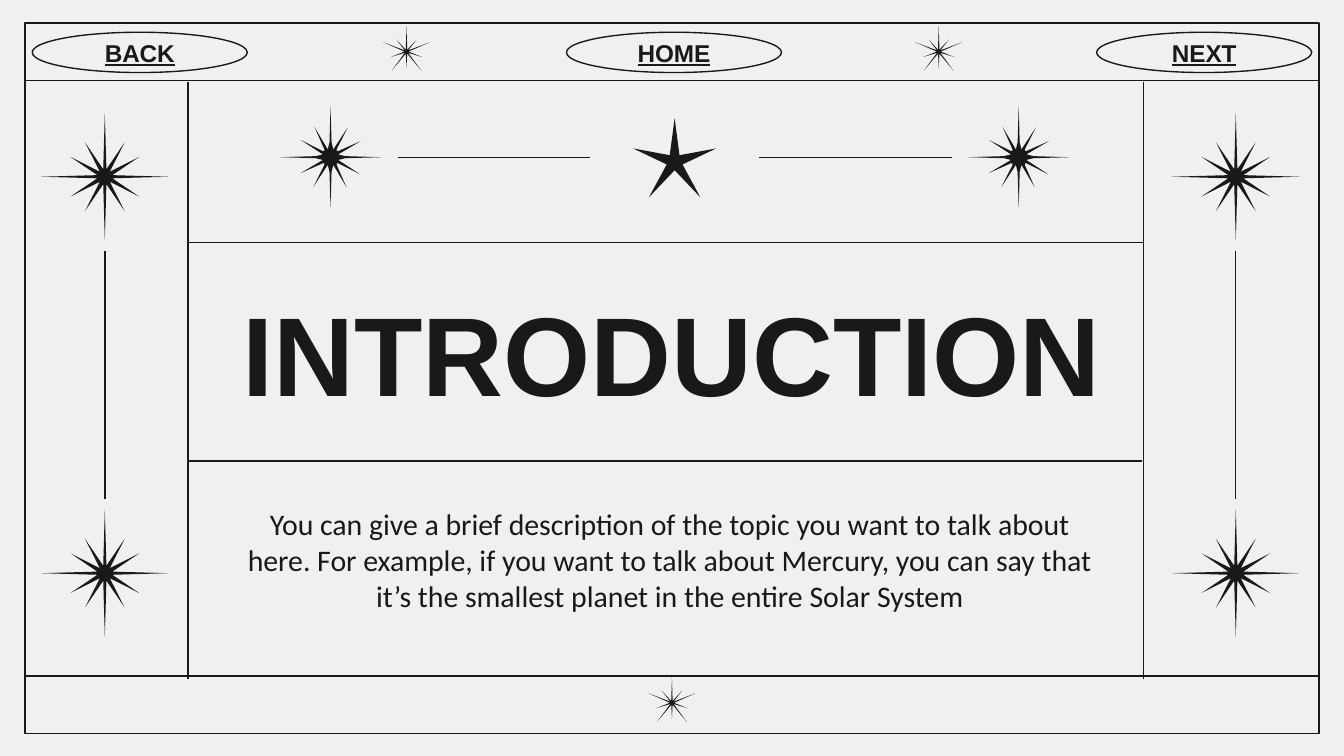
import math
from dataclasses import dataclass

import pptx
import pptx.dml.color
import pptx.enum.shapes
import pptx.enum.text
import pptx.oxml
import pptx.util

ANCHOR = pptx.enum.text.MSO_ANCHOR
SHAPE = pptx.enum.shapes.MSO_SHAPE
COLS, ROWS = 100, 56.25


@dataclass(frozen=True)
class Theme:
    """Colours, fonts and type sizes."""
    ink: str = "191919"
    paper: str = "F0F0F0"
    head_font: str = "Arial"
    body_font: str = "Calibri"
    title: int = 60
    body: int = 16
    label: int = 13
    rule: float = 0.75


@dataclass(frozen=True)
class Box:
    """A region measured in grid columns and rows."""
    x: float
    y: float
    w: float
    h: float


THEME = Theme()
HALF_SPARKLE = [(0, 1), (20, 0.08), (40, 0.62), (54, 0.08), (68, 0.99), (88, 0.08),
                (109, 0.64), (125, 0.08), (142, 0.94), (161, 0.08), (180, 0.63)]
SPARKLE = HALF_SPARKLE + [(360 - b, d) for b, d in HALF_SPARKLE[-2:0:-1]]


def repeat(pattern, count):
    """Turn a pattern of (bearing, radius) points round the full circle."""
    return [(b + i * 360 / count, d) for i in range(count) for b, d in pattern]


BURST = repeat([(0, 1), (12, 0.12), (30, 0.62), (45, 0.11), (60, 0.62), (78, 0.12)], 4)
COMPASS = repeat([(0, 1), (4, 0.29), (20, 0.16), (30, 0.67), (38, 0.2), (45, 0.17),
                  (52, 0.2), (62, 0.67), (70, 0.16), (86, 0.29)], 4)
FIVE_POINT = repeat([(0, 1), (36, 0.19)], 5)


def rgb(value):
    """Return a colour from its hex value."""
    return pptx.dml.color.RGBColor.from_string(value)


def grid(*units):
    """Convert grid units to slide lengths."""
    return [pptx.util.Inches(u * 10 / COLS) for u in units]


def rule(s, x1, y1, x2, y2):
    """Draw a thin straight line."""
    line = s.shapes.add_connector(pptx.enum.shapes.MSO_CONNECTOR.STRAIGHT, *grid(x1, y1, x2, y2))
    line.line.color.rgb = rgb(THEME.ink)
    line.line.width = pptx.util.Pt(THEME.rule)
    line._element.spPr.append(pptx.oxml.parse_xml(
        '<a:effectLst xmlns:a="http://schemas.openxmlformats.org/drawingml/2006/main"/>'))


def outline(s, kind, x, y, w, h):
    """Add an unfilled shape with a thin outline."""
    sp = s.shapes.add_shape(kind, *grid(x, y, w, h))
    sp.shadow.inherit = False
    sp.fill.background()
    sp.line.color.rgb = rgb(THEME.ink)
    sp.line.width = pptx.util.Pt(THEME.rule)
    return sp


def star(s, vertices, cx, cy, radius):
    """Draw a solid star from polar vertices about its centre."""
    points = [grid(cx + radius * d * math.sin(math.radians(b)),
                   cy - radius * d * math.cos(math.radians(b))) for b, d in vertices]
    builder = s.shapes.build_freeform(*points[0])
    builder.add_line_segments(points[1:], close=True)
    sp = builder.convert_to_shape()
    sp.shadow.inherit = False
    sp.fill.solid()
    sp.fill.fore_color.rgb = rgb(THEME.ink)
    sp.line.fill.background()


def write(sp, text, font, size, bold=False, underline=False, anchor=ANCHOR.MIDDLE):
    """Fill a shape with one centred paragraph."""
    tf = sp.text_frame
    tf.word_wrap = True
    tf.vertical_anchor = anchor
    tf.margin_left = tf.margin_right = tf.margin_top = tf.margin_bottom = pptx.util.Inches(0.1)
    p = tf.paragraphs[0]
    p.alignment = pptx.enum.text.PP_ALIGN.CENTER
    r = p.add_run()
    r.text = text
    r.font.name = font
    r.font.size = pptx.util.Pt(size)
    r.font.bold = bold
    r.font.underline = underline
    r.font.color.rgb = rgb(THEME.ink)


def text_box(s, box, text, **style):
    """Place formatted text in a box."""
    write(s.shapes.add_textbox(*grid(box.x, box.y, box.w, box.h)), text, **style)


def frame(s, box):
    """Draw the outer frame with its header and footer rules."""
    outline(s, SHAPE.RECTANGLE, box.x, box.y, box.w, box.h)
    for y in (box.y + 4.3, box.y + box.h - 4.3):
        rule(s, box.x, y, box.x + box.w, y)
    star(s, SPARKLE, box.x + box.w / 2, box.y + box.h - 2.3, 1.9)


def panel(s, box):
    """Draw the side rules and dividers of the central panel."""
    right = box.x + box.w
    for x in (box.x, right):
        rule(s, x, box.y, x, box.y + box.h)
    rule(s, box.x, box.y + 11.95, right, box.y + 11.95)
    rule(s, box.x - 0.1, box.y + 28.2, right - 0.1, box.y + 28.2)


def rail(s, box):
    """Draw two bursts joined by a vertical rule."""
    cx, radius, gap = box.x + box.w / 2, box.w / 2, 0.75
    bottom = box.y + box.h
    for cy in (box.y + radius, bottom - radius):
        star(s, BURST, cx, cy, radius)
    rule(s, cx, box.y + box.w + gap, cx, bottom - box.w - gap)


def navigation(s, box):
    """Place the navigation buttons and the sparkles between them."""
    for dx, label in ((0, "BACK"), (39.75, "HOME"), (79.2, "NEXT")):
        sp = outline(s, SHAPE.OVAL, box.x + dx, box.y, 16, box.h)
        write(sp, label, font=THEME.head_font, size=THEME.label, bold=True, underline=True)
    for dx in (27.85, 67.45):
        star(s, SPARKLE, box.x + dx, box.y + box.h / 2 - 0.05, 1.9)


def banner(s, box):
    """Draw a five-pointed star flanked by rules and compass stars."""
    cx, cy, radius = box.x + box.w / 2, box.y + box.h / 2, box.h / 2
    star(s, FIVE_POINT, cx, cy + 0.35, 3.25)
    for side in (-1, 1):
        star(s, COMPASS, cx + side * (box.w / 2 - radius), cy, radius)
        rule(s, *((cx - 20.6, cy, cx - 6.3, cy) if side < 0 else (cx + 6.3, cy, cx + 20.6, cy)))


def main():
    """Build the introduction slide."""
    prs = pptx.Presentation()
    prs.slide_width, prs.slide_height = grid(COLS, ROWS)
    s = prs.slides.add_slide(prs.slide_layouts[6])
    s.background.fill.solid()
    s.background.fill.fore_color.rgb = rgb(THEME.paper)
    frame(s, Box(1.85, 1.7, 96.3, 52.9))
    for x in (3.05, 87.2):
        rail(s, Box(x, 8.4, 9.5, 39))
    panel(s, Box(14, 6.1, 71.1, 44.4))
    text_box(s, Box(14.8, 20.05, 70.4, 12.1), "INTRODUCTION", font=THEME.head_font,
             size=THEME.title, bold=True, anchor=ANCHOR.BOTTOM)
    text_box(s, Box(17, 36.65, 65.7, 10.6),
             "You can give a brief description of the topic you want to talk about here. "
             "For example, if you want to talk about Mercury, you can say that "
             "it’s the smallest planet in the entire Solar System",
             font=THEME.body_font, size=THEME.body, anchor=ANCHOR.TOP)
    navigation(s, Box(2.4, 2.4, 95.2, 3))
    banner(s, Box(20.8, 7.9, 58.8, 7.6))
    prs.save("out.pptx")


if __name__ == "__main__":
    main()
